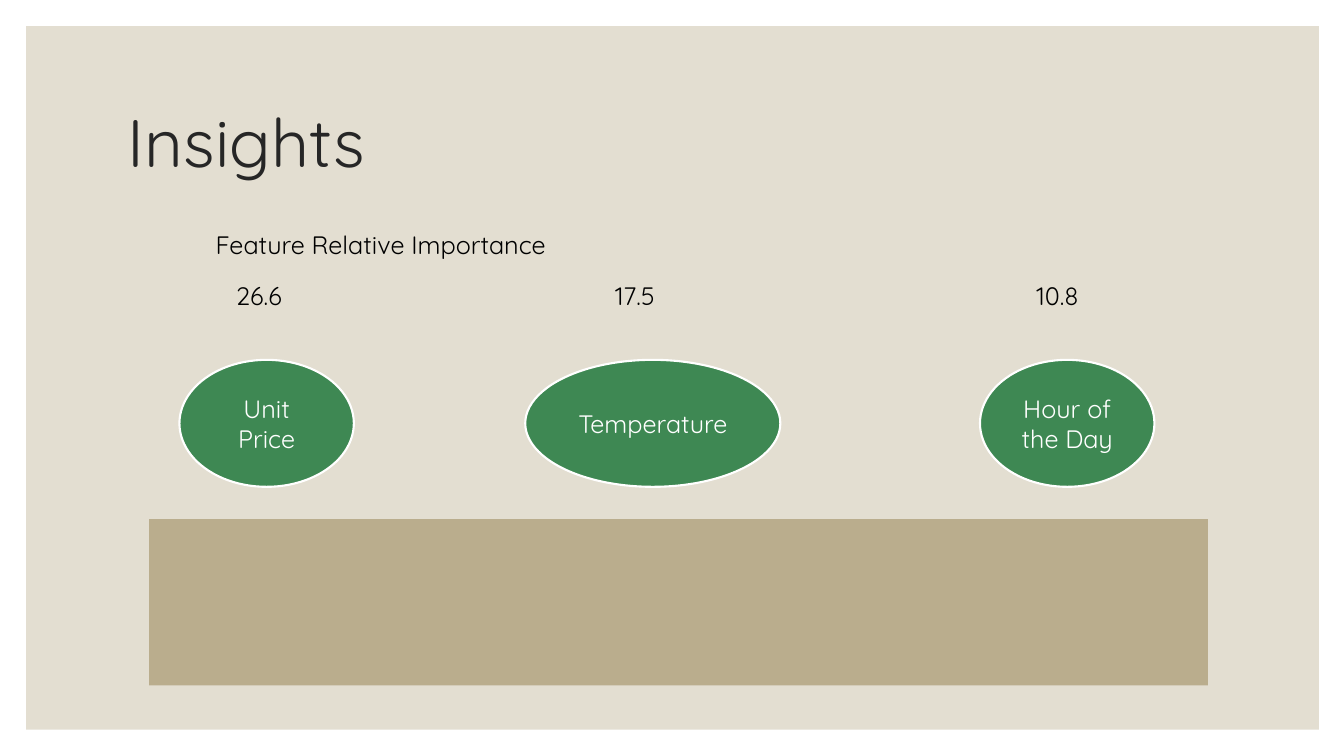
from pptx import Presentation
from pptx.dml.color import RGBColor
from pptx.enum.shapes import MSO_SHAPE as Shape
from pptx.enum.text import MSO_ANCHOR as Anchor, PP_ALIGN as Align
from pptx.util import Inches, Pt


def color(code):
    return RGBColor.from_string(code)


class Board:
    font = "Quicksand"
    green, sand, beige = "3E8853", "BAAD8D", "E3DED1"
    white, black, dark = "FFFFFF", "000000", "262626"

    def __init__(self, slide):
        self.slide = slide

    def fill_text(self, frame, text, size, ink, align=Align.LEFT):
        frame.word_wrap = True
        frame.text = text
        para = frame.paragraphs[0]
        para.alignment = align
        font = para.runs[0].font
        font.name, font.size = self.font, Pt(size)
        font.color.rgb = color(ink)
        return para

    def shape(self, kind, box, fill, line=None):
        item = self.slide.shapes.add_shape(kind, *map(Inches, box))
        item.shadow.inherit = False
        item.fill.solid()
        item.fill.fore_color.rgb = color(fill)
        if line:
            item.line.color.rgb = color(line)
            item.line.width = Pt(1.5)
        else:
            item.line.fill.background()
        return item

    def panel(self, box, fill):
        self.shape(Shape.RECTANGLE, box, fill)

    def oval(self, box, text):
        frame = self.shape(Shape.OVAL, box, self.green, self.white).text_frame
        frame.vertical_anchor = Anchor.MIDDLE
        self.fill_text(frame, text, 18, self.white, Align.CENTER)

    def label(self, box, text, size=18, ink=black, indent=0.1, anchor=Anchor.TOP):
        frame = self.slide.shapes.add_textbox(*map(Inches, box)).text_frame
        frame.margin_left = Inches(indent)
        frame.vertical_anchor = anchor
        return self.fill_text(frame, text, size, ink)


def main():
    deck = Presentation()
    deck.slide_width, deck.slide_height = Inches(13.33), Inches(7.5)
    board = Board(deck.slides.add_slide(deck.slide_layouts[6]))

    # Background and title
    board.panel((0.26, 0.26, 12.82, 6.98), board.beige)
    title = board.label((1.17, 0.7, 11, 1.5), "Insights", 48, board.dark,
                        anchor=Anchor.MIDDLE)
    title.line_spacing = 0.9

    # Features with their importance
    board.label((2.04, 2.23, 8.34, 0.4), "Feature Relative Importance")
    features = [
        ("Unit Price", 1.78, 1.73, "26.6", 1.78),
        ("Temperature", 5.21, 2.53, "17.5", 5.54),
        ("Hour of the Day", 9.72, 1.73, "10.8", 9.72),
    ]
    for name, left, width, score, start in features:
        board.oval((left, 3.57, width, 1.26), name)
        board.label((start, 2.73, 1.48, 0.4), score, indent=0.56)

    # Lower band
    board.panel((1.48, 5.15, 10.5, 1.65), board.sand)

    deck.save("out.pptx")


if __name__ == "__main__":
    main()
